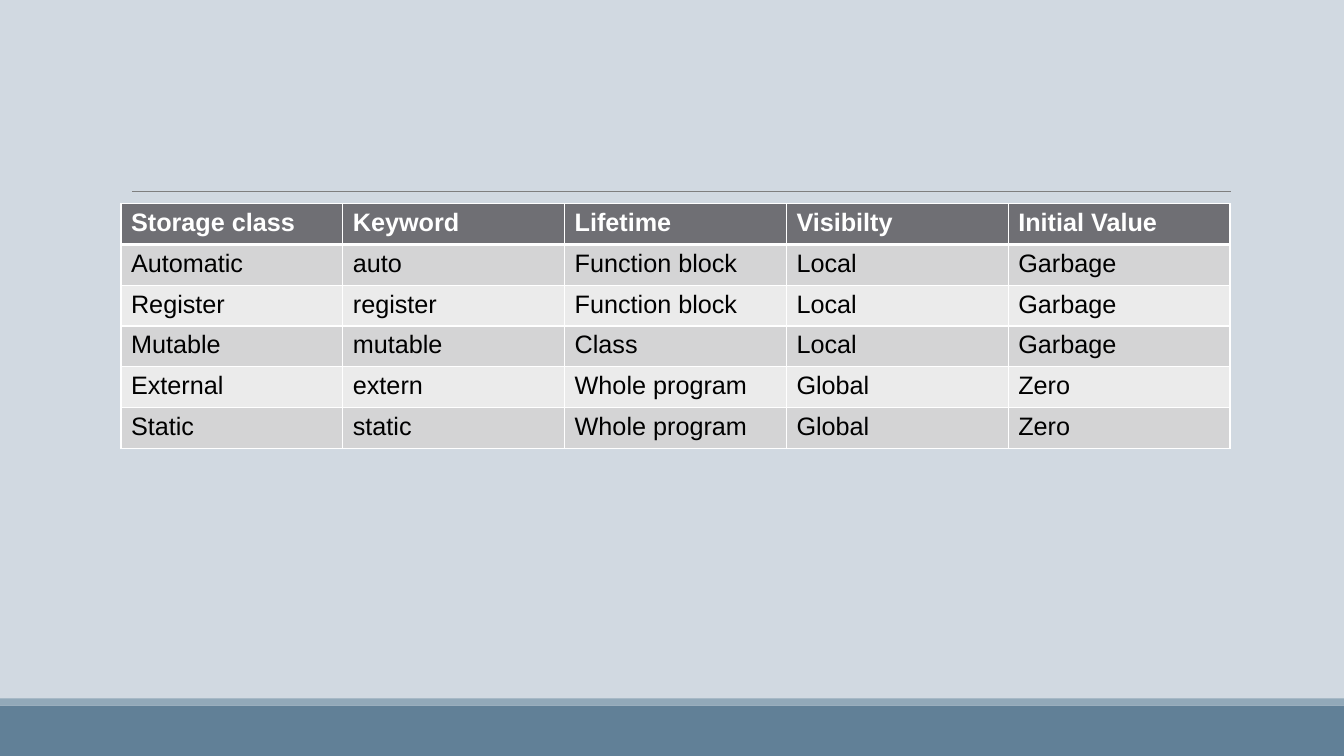
from lxml import etree
from pptx import Presentation
from pptx.dml.color import RGBColor
from pptx.enum.shapes import MSO_CONNECTOR, MSO_SHAPE
from pptx.oxml.ns import qn
from pptx.util import Inches, Pt

RECT = MSO_SHAPE.RECTANGLE
STRAIGHT = MSO_CONNECTOR.STRAIGHT

PALE = RGBColor(0xD1, 0xD9, 0xE1)
BLUE = RGBColor(0x61, 0x80, 0x97)
MIST = RGBColor(0x92, 0xA9, 0xB9)
RULE = RGBColor(0x7F, 0x7F, 0x7F)
HEAD = RGBColor(0x6F, 0x6F, 0x74)
DARK = RGBColor(0xD4, 0xD4, 0xD5)
LIGHT = RGBColor(0xEB, 0xEB, 0xEB)
WHITE = RGBColor(0xFF, 0xFF, 0xFF)
BLACK = RGBColor(0, 0, 0)

WIDTH, HEIGHT = 13.33, 7.5
ROWS = [
    ("Storage class", "Keyword", "Lifetime", "Visibilty", "Initial Value"),
    ("Automatic", "auto", "Function block", "Local", "Garbage"),
    ("Register", "register", "Function block", "Local", "Garbage"),
    ("Mutable", "mutable", "Class", "Local", "Garbage"),
    ("External", "extern", "Whole program", "Global", "Zero"),
    ("Static", "static", "Whole program", "Global", "Zero"),
]
FONT = {"name": "Arial", "size": Pt(18)}


def add_band(slide, box, color):
    band = slide.shapes.add_shape(RECT, *map(Inches, box))
    band.shadow.inherit = False
    band.fill.solid()
    band.fill.fore_color.rgb = color
    band.line.fill.background()


def add_footer(slide, box):
    left, top, width, height = box
    strip = 0.07
    add_band(slide, (left, top + strip, width, height - strip), BLUE)
    add_band(slide, (left, top, width, strip), MIST)


def add_rule(slide, left, top, width):
    ends = (left, top, left + width, top)
    rule = slide.shapes.add_connector(STRAIGHT, *map(Inches, ends))
    rule.line.color.rgb = RULE
    rule.line.width = Pt(0.75)
    etree.SubElement(rule._element.spPr, qn("a:effectLst"))


def add_edges(cell, widths):
    props = cell._tc.get_or_add_tcPr()
    for side, width in widths.items():
        edge = etree.SubElement(props, qn(f"a:ln{side}"), w=str(Pt(width)))
        fill = etree.SubElement(edge, qn("a:solidFill"))
        etree.SubElement(fill, qn("a:srgbClr"), val=str(WHITE))


def style_cell(cell, row):
    # Borders go before the fill in the cell's XML
    add_edges(cell, {"L": 1, "R": 1, "T": 3 if row == 1 else 1,
                     "B": 3 if row == 0 else 1})
    cell.fill.solid()
    cell.fill.fore_color.rgb = HEAD if row == 0 else (LIGHT, DARK)[row % 2]
    font = cell.text_frame.paragraphs[0].runs[0].font
    for key, value in {**FONT, "bold": row == 0}.items():
        setattr(font, key, value)
    font.color.rgb = WHITE if row == 0 else BLACK


def add_grid(slide, box, rows):
    frame = slide.shapes.add_table(len(rows), len(rows[0]), *map(Inches, box))
    for r, words in enumerate(rows):
        for c, word in enumerate(words):
            cell = frame.table.cell(r, c)
            cell.text = word
            style_cell(cell, r)


def main():
    deck = Presentation()
    deck.slide_width, deck.slide_height = Inches(WIDTH), Inches(HEIGHT)
    slide = deck.slides.add_slide(deck.slide_layouts[6])
    slide.background.fill.solid()
    slide.background.fill.fore_color.rgb = PALE

    # Frame of the slide
    add_footer(slide, (0, 6.93, WIDTH, 0.57))
    add_rule(slide, 1.31, 1.9, 10.9)

    # Storage classes
    add_grid(slide, (1.2, 2.02, 11, 2.43), ROWS)
    deck.save("out.pptx")


if __name__ == "__main__":
    main()
